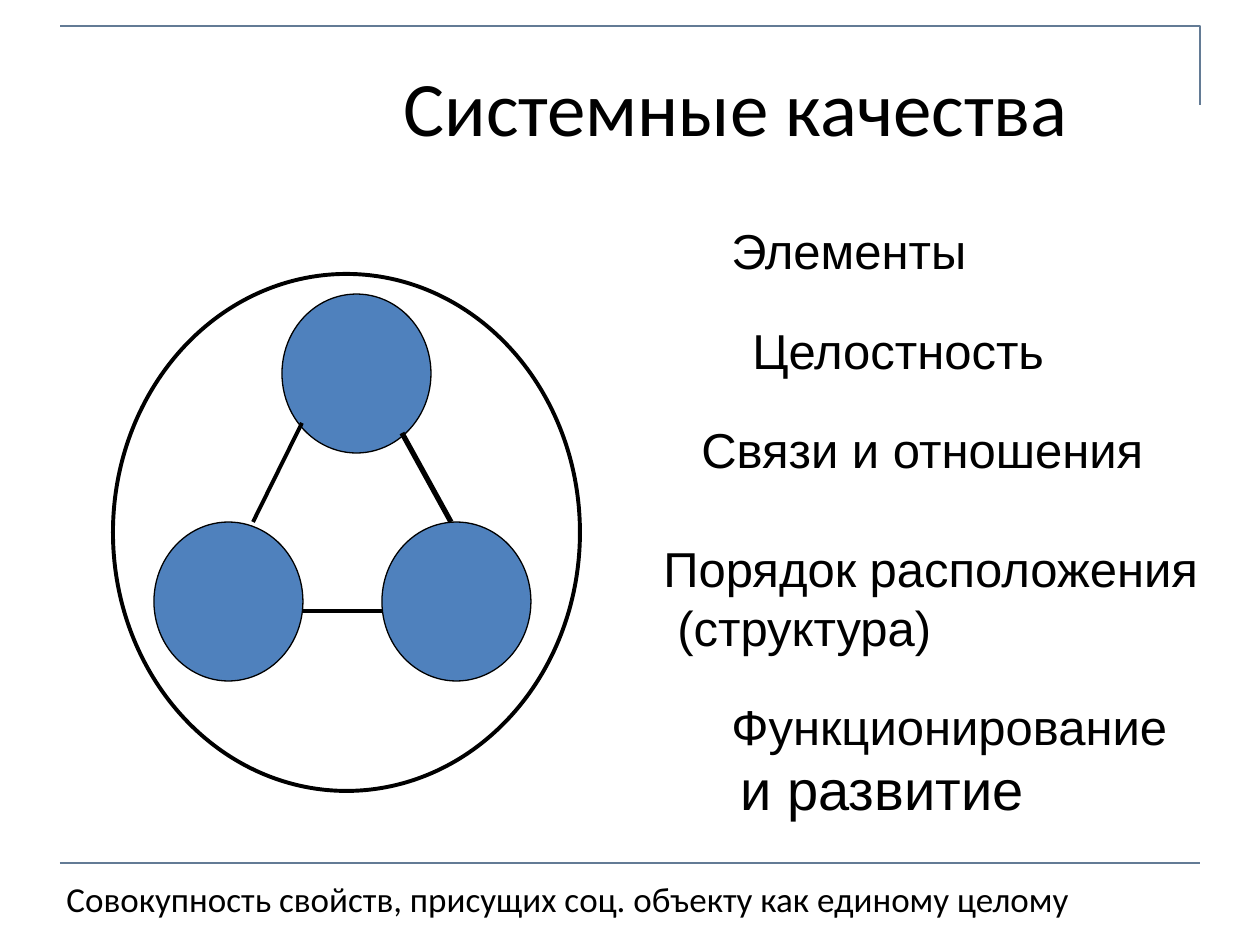
"""Build the slide on system qualities: a three-element system beside its list of qualities."""
from dataclasses import dataclass

from lxml import etree
from pptx import Presentation
from pptx.dml.color import RGBColor
from pptx.enum.shapes import MSO_CONNECTOR, MSO_SHAPE
from pptx.enum.text import MSO_ANCHOR, PP_ALIGN
from pptx.oxml.ns import qn
from pptx.util import Pt

STRAIGHT = MSO_CONNECTOR.STRAIGHT
OVAL = MSO_SHAPE.OVAL
LEFT, CENTER = PP_ALIGN.LEFT, PP_ALIGN.CENTER
TOP, MIDDLE = MSO_ANCHOR.TOP, MSO_ANCHOR.MIDDLE
PX = 914400 // 126


@dataclass(frozen=True)
class Theme:
    ink: RGBColor = RGBColor(0, 0, 0)
    paper: RGBColor = RGBColor(255, 255, 255)
    frame: RGBColor = RGBColor(0x63, 0x7B, 0x95)
    element: RGBColor = RGBColor(0x4F, 0x81, 0xBD)
    heading_font: str = "Calibri"
    quality_font: str = "Arial"
    title_size: int = 44
    caption_size: int = 20
    quality_size: int = 28
    emphasis_size: int = 32


THEME = Theme()

TITLE = "Системные качества"
TITLE_BOX = (253, 35, 966, 141)
CAPTION = "Совокупность свойств, присущих соц. объекту как единому целому"
CAPTION_BOX = (54, 879, 1171, 49)

FRAME_CORNER = [(60, 26), (1200, 26), (1200, 105)]
FOOTER_RULE = ((60, 863), (1200, 863))

SYSTEM = (113, 274, 467, 517)
ELEMENT_SIZE = (149, 159)
ELEMENTS = [(282, 294), (154, 522), (382, 522)]
BONDS = [
    ((302, 423), (253, 522), 2.25),
    ((402, 433), (451, 522), 3),
    ((302, 611), (382, 611), 2.25),
]

SIZE = THEME.quality_size
QUALITIES = [
    ((719, 214, 437, 72), True, [("Элементы", SIZE, 0)]),
    ((740, 314, 436, 72), True, [("Целостность", SIZE, 0)]),
    ((689, 413, 517, 72), True, [("Связи и отношения", SIZE, 0)]),
    ((651, 532, 561, 131), False,
     [("Порядок расположения", SIZE, 0), ("(структура)", SIZE, 14)]),
    ((719, 690, 461, 139), False,
     [("Функционирование", SIZE, 0), ("и развитие", THEME.emphasis_size, 9)]),
]


def px(values):
    return [value * PX for value in values]


def add_text(slide, box, lines, font, wrap=True, align=LEFT, anchor=TOP, spacing=None):
    frame = slide.shapes.add_textbox(*px(box)).text_frame
    frame.word_wrap = wrap
    frame.vertical_anchor = anchor
    for index, (words, size, indent) in enumerate(lines):
        paragraph = frame.add_paragraph() if index else frame.paragraphs[0]
        paragraph.text = words
        paragraph.alignment = align
        paragraph.line_spacing = spacing
        if indent:
            paragraph._p.get_or_add_pPr().set("marL", str(indent * PX))
        paragraph.font.name = font
        paragraph.font.size = Pt(size)
        paragraph.font.color.rgb = THEME.ink


def add_line(slide, start, end, color, width):
    line = slide.shapes.add_connector(STRAIGHT, *px(start + end))
    line.line.color.rgb = color
    line.line.width = Pt(width)
    etree.SubElement(line._element.spPr, qn("a:effectLst"))


def add_oval(slide, box, fill, width):
    oval = slide.shapes.add_shape(OVAL, *px(box))
    oval.shadow.inherit = False
    oval.fill.solid()
    oval.fill.fore_color.rgb = fill
    oval.line.color.rgb = THEME.ink
    oval.line.width = Pt(width)


def add_frame(slide):
    builder = slide.shapes.build_freeform(*FRAME_CORNER[0], scale=PX)
    builder.add_line_segments(FRAME_CORNER[1:], close=False)
    corner = builder.convert_to_shape()
    corner.shadow.inherit = False
    corner.fill.background()
    corner.line.color.rgb = THEME.frame
    corner.line.width = Pt(1.5)
    add_line(slide, *FOOTER_RULE, THEME.frame, 1.5)


def main():
    deck = Presentation()
    deck.slide_width, deck.slide_height = px((1260, 945))
    slide = deck.slides.add_slide(deck.slide_layouts[6])

    add_frame(slide)
    add_oval(slide, SYSTEM, THEME.paper, 2.25)
    add_text(slide, TITLE_BOX, [(TITLE, THEME.title_size, 0)], THEME.heading_font,
             align=CENTER, anchor=MIDDLE)
    add_text(slide, CAPTION_BOX, [(CAPTION, THEME.caption_size, 0)], THEME.heading_font,
             spacing=0.8)
    for position in ELEMENTS:
        add_oval(slide, position + ELEMENT_SIZE, THEME.element, 0.75)
    for start, end, width in BONDS:
        add_line(slide, start, end, THEME.ink, width)
    for box, wrap, lines in QUALITIES:
        add_text(slide, box, lines, THEME.quality_font, wrap)

    deck.save("out.pptx")


if __name__ == "__main__":
    main()
